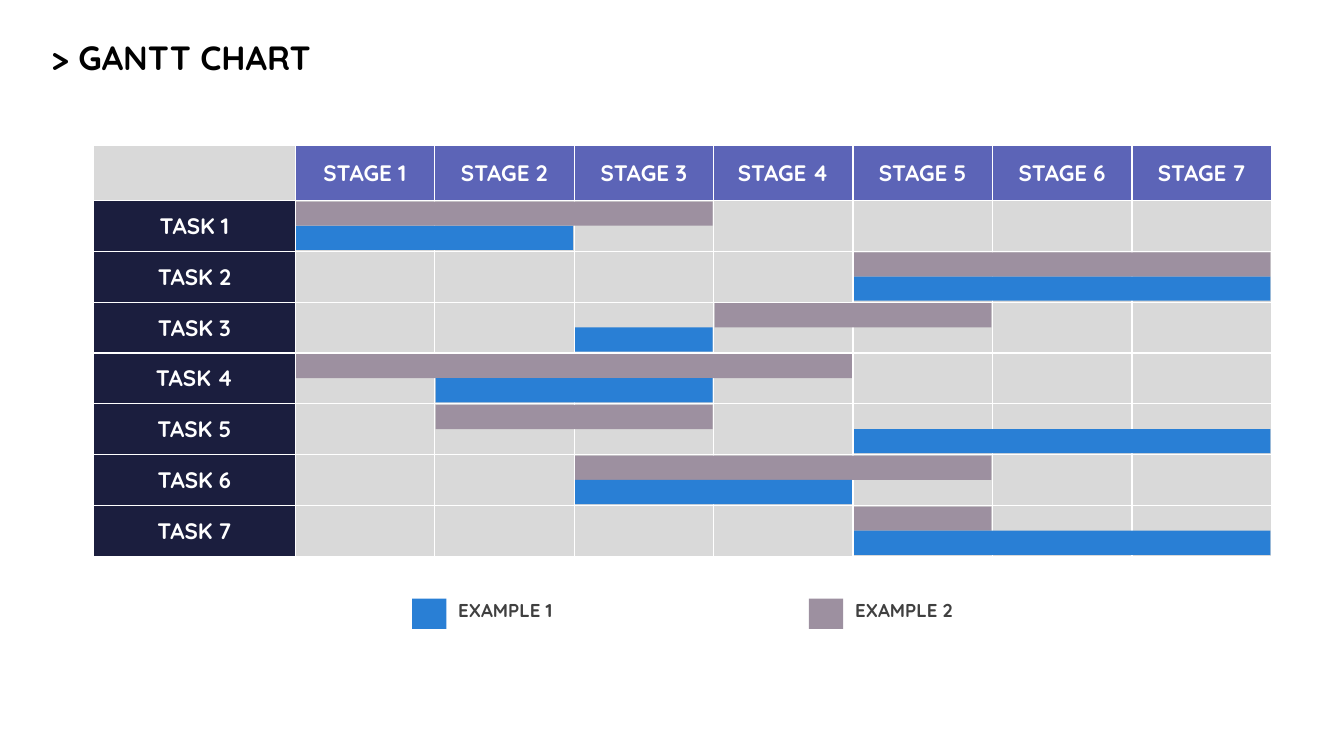
from lxml.etree import fromstring
from pptx import Presentation
from pptx.dml.color import RGBColor
from pptx.enum.shapes import MSO_SHAPE
from pptx.enum.text import MSO_ANCHOR, PP_ALIGN
from pptx.util import Inches, Pt

WHITE = RGBColor(0xFF, 0xFF, 0xFF)
BLACK = RGBColor(0x00, 0x00, 0x00)
DARK = RGBColor(0x40, 0x40, 0x40)
GRAY = RGBColor(0xD9, 0xD9, 0xD9)
VIOLET = RGBColor(0x5C, 0x64, 0xB7)
NAVY = RGBColor(0x1B, 0x1E, 0x3E)
BLUE = RGBColor(0x29, 0x7F, 0xD5)
MAUVE = RGBColor(0x9D, 0x90, 0xA0)

N = 7
LEFT, TOP, WIDTH, HEIGHT = 0.93, 1.44, 11.69, 4.08
LABEL_W, HEAD_H = 2, 0.55
COL_W = (WIDTH - LABEL_W) / N
ROW_H = (HEIGHT - HEAD_H) / N
GRID_X, GRID_Y = LEFT + LABEL_W, TOP + HEAD_H
BAR_H = 0.24
NS = "http://schemas.openxmlformats.org/drawingml/2006/main"


def write(tf, text, size=16, color=WHITE, align=PP_ALIGN.LEFT, anchor=MSO_ANCHOR.TOP):
    tf.word_wrap = True
    tf.vertical_anchor = anchor
    p = tf.paragraphs[0]
    p.alignment = align
    r = p.add_run()
    r.text = text
    r.font.name = "Quicksand"
    r.font.size = Pt(size)
    r.font.bold = True
    r.font.color.rgb = color


def add_rect(shapes, x, y, w, h, color):
    sp = shapes.add_shape(MSO_SHAPE.RECTANGLE, Inches(x), Inches(y), Inches(w), Inches(h))
    sp.shadow.inherit = False
    sp.fill.solid()
    sp.fill.fore_color.rgb = color
    sp.line.fill.background()


prs = Presentation()
prs.slide_width, prs.slide_height = Inches(13.34), Inches(7.5)
s = prs.slides.add_slide(prs.slide_layouts[5])

title = s.shapes.title
title.left, title.top, title.width, title.height = map(Inches, (0.41, 0.28, 5.32, 0.58))
write(title.text_frame, "> GANTT CHART", size=24, color=BLACK, anchor=MSO_ANCHOR.MIDDLE)

table = s.shapes.add_table(N + 1, N + 1, Inches(LEFT), Inches(TOP), Inches(WIDTH), Inches(HEIGHT)).table
table.first_row = table.horz_banding = False
for i in range(N + 1):
    table.columns[i].width = Inches(COL_W if i else LABEL_W)
    table.rows[i].height = Inches(ROW_H if i else HEAD_H)

for row in range(N + 1):
    for col in range(N + 1):
        cell = table.cell(row, col)
        cell.margin_left = cell.margin_right = Inches(0.13)
        cell.margin_top = cell.margin_bottom = Inches(0.07)
        cell.vertical_anchor = MSO_ANCHOR.MIDDLE
        cell.fill.solid()
        cell.fill.fore_color.rgb = GRAY
        if (row == 0) != (col == 0):
            label, color = (f"TASK {row}", NAVY) if row else (f"STAGE {col}", VIOLET)
            cell.fill.fore_color.rgb = color
            write(cell.text_frame, label, align=PP_ALIGN.CENTER, anchor=MSO_ANCHOR.MIDDLE)
        tcPr = cell._tc.get_or_add_tcPr()
        for i, side in enumerate(("lnL", "lnR", "lnT", "lnB")):
            tcPr.insert(i, fromstring(
                f'<a:{side} xmlns:a="{NS}" w="{Pt(1)}"><a:solidFill>'
                f'<a:srgbClr val="{WHITE}"/></a:solidFill></a:{side}>'))

LEGEND = [("EXAMPLE 1", BLUE, 4.09), ("EXAMPLE 2", MAUVE, 8.03)]
for label, color, x in LEGEND:
    group = s.shapes.add_group_shape()
    add_rect(group.shapes, x, 5.94, 0.34, 0.3, color)
    box = group.shapes.add_textbox(Inches(x + 0.36), Inches(5.89), Inches(1.55), Inches(0.33))
    write(box.text_frame, label, size=13.3, color=DARK)

# Each task: (first stage, last stage) for EXAMPLE 2, then for EXAMPLE 1
TASKS = [
    ((1, 3), (1, 2)),
    ((5, 7), (5, 7)),
    ((4, 5), (3, 3)),
    ((1, 4), (2, 3)),
    ((2, 3), (5, 7)),
    ((3, 5), (3, 4)),
    ((5, 5), (5, 7)),
]
for row, spans in enumerate(TASKS):
    for lane, ((first, last), color) in enumerate(zip(spans, (MAUVE, BLUE))):
        add_rect(s.shapes, GRID_X + (first - 1) * COL_W + 0.01,
                 GRID_Y + row * ROW_H + lane * BAR_H + 0.01,
                 (last - first + 1) * COL_W - 0.02, BAR_H, color)

prs.save("out.pptx")
